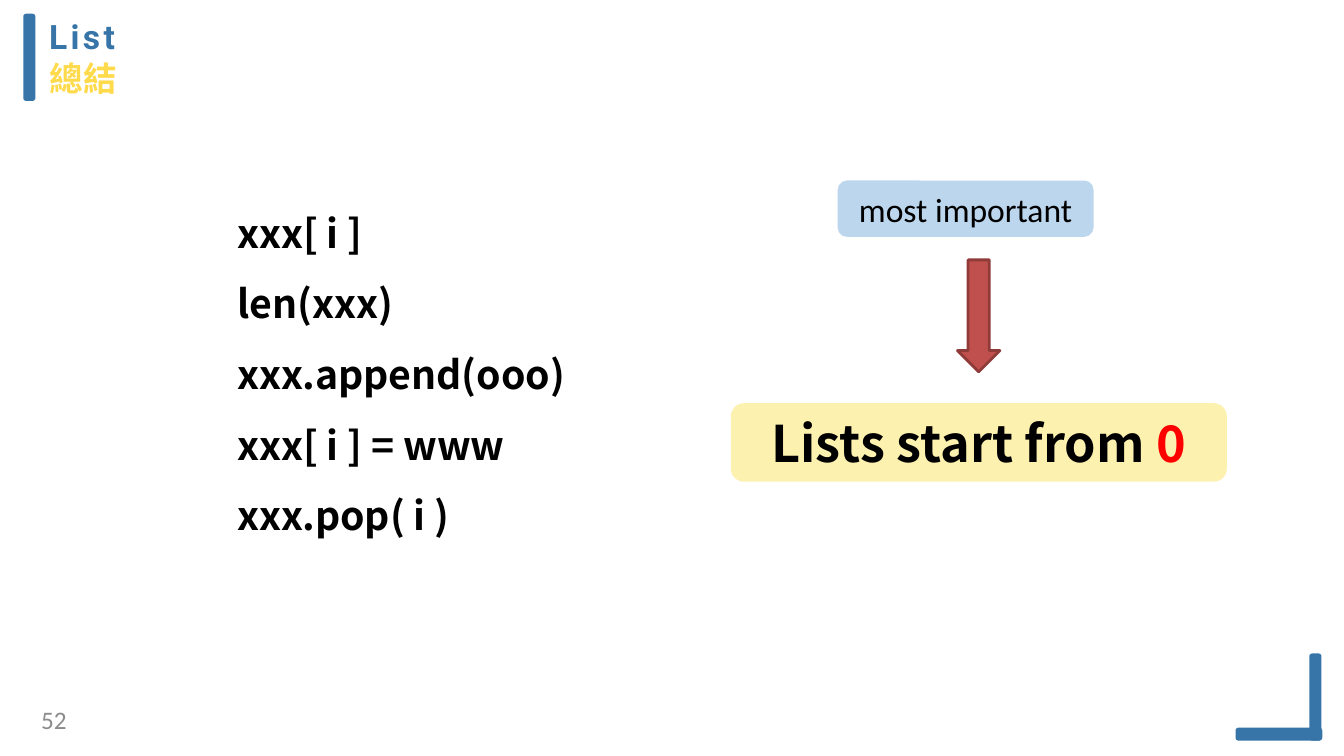
from dataclasses import dataclass

from lxml import etree
from pptx import Presentation
from pptx.dml.color import RGBColor
from pptx.enum.shapes import MSO_SHAPE
from pptx.enum.text import MSO_ANCHOR, MSO_AUTO_SIZE, PP_ALIGN
from pptx.oxml.ns import qn
from pptx.util import Cm, Pt

ROUND, ARROW = MSO_SHAPE.ROUNDED_RECTANGLE, MSO_SHAPE.DOWN_ARROW
LEFT, CENTER, RIGHT = PP_ALIGN.LEFT, PP_ALIGN.CENTER, PP_ALIGN.RIGHT
TOP, MIDDLE = MSO_ANCHOR.TOP, MSO_ANCHOR.MIDDLE
SANS_SC, SANS_TC = "Noto Sans CJK SC", "Noto Sans CJK TC"
BLUE, YELLOW, BLACK = "3774A7", "FFDA4A", "000000"


@dataclass
class Box:
    """Position and size in centimetres."""
    left: float
    top: float
    width: float
    height: float

    def place(self) -> tuple:
        return Cm(self.left), Cm(self.top), Cm(self.width), Cm(self.height)


@dataclass
class Block:
    box: Box
    fill: str
    line: str = ""
    weight: float = 0
    preset: MSO_SHAPE = ROUND
    corner: float | None = None


BARS = [
    Block(box, BLUE, BLUE, 3, corner=0.1)
    for box in (
        Box(0.64, 0.4, 0.2, 2.09),
        Box(33.05, 16.52, 0.2, 2.09),
        Box(31.19, 18.39, 2.08, 0.22),
    )
]
RULE = Block(Box(18.42, 10.16, 12.5, 1.98), "FDF1B0")
LABEL = Block(Box(21.11, 4.55, 6.45, 1.42), "BCD6ED")
POINTER = Block(Box(24.13, 6.55, 1.07, 2.82), "C0504D", "8E3B39", 2, ARROW)
OPERATIONS = ["xxx[ i ]", "len(xxx)", "xxx.append(ooo)", "xxx[ i ] = www", "xxx.pop( i )"]


def color(value: str) -> RGBColor:
    return RGBColor.from_string(value)


def add_block(slide, block: Block):
    sp = slide.shapes.add_shape(block.preset, *block.box.place())
    sp.shadow.inherit = False
    sp.fill.solid()
    sp.fill.fore_color.rgb = color(block.fill)
    if block.line:
        sp.line.color.rgb = color(block.line)
        sp.line.width = Pt(block.weight)
    else:
        sp.line.fill.background()
    if block.corner is not None:
        sp.adjustments[0] = block.corner
    return sp


def setup_frame(sp, anchor=TOP, inset: float | None = None):
    tf = sp.text_frame
    tf.word_wrap = True
    tf.auto_size = MSO_AUTO_SIZE.NONE
    tf.vertical_anchor = anchor
    if inset is not None:
        tf.margin_left = tf.margin_right = tf.margin_top = tf.margin_bottom = Cm(inset)
    return tf


def setup_paragraph(p, align=LEFT, before: float = 0, spacing: float = 1):
    p.alignment = align
    p.space_before = Pt(before)
    p.line_spacing = spacing
    return p


def add_text(p, text: str, *, size: float, font: str, fill: str = BLACK,
             bold: bool = False, tracking: float = 0) -> None:
    r = p.add_run()
    r.text = text
    r.font.size = Pt(size)
    r.font.bold = bold
    r.font.color.rgb = color(fill)
    r.font.name = font
    # East Asian font and letter spacing
    props = r._r.get_or_add_rPr()
    etree.SubElement(props, qn("a:ea"), typeface=font)
    if tracking:
        props.set("spc", str(round(tracking * 100)))


def set_box(sp, box: Box) -> None:
    sp.left, sp.top, sp.width, sp.height = box.place()


def add_title(slide) -> None:
    sp = slide.shapes.title
    set_box(sp, Box(1.24, 0.41, 11.48, 2.13))
    tf = setup_frame(sp, inset=0)
    lines = [("List", "Roboto", BLUE, 2.4), ("總結", SANS_SC, YELLOW, 0.6)]
    for i, (text, font, fill, tracking) in enumerate(lines):
        p = setup_paragraph(tf.add_paragraph() if i else tf.paragraphs[0], before=1)
        add_text(p, text, size=24, font=font, fill=fill, bold=True, tracking=tracking)


def add_operations(slide) -> None:
    sp = slide.placeholders[1]
    set_box(sp, Box(5.72, 4.55, 10.36, 9.25))
    tf = setup_frame(sp)
    for i, text in enumerate(OPERATIONS):
        p = setup_paragraph(tf.add_paragraph() if i else tf.paragraphs[0], spacing=1.5)
        props = p._p.get_or_add_pPr()
        props.set("marL", "0")
        props.set("indent", "0")
        etree.SubElement(props, qn("a:buNone"))
        add_text(p, text, size=28, font=SANS_TC, bold=True)


def main() -> None:
    prs = Presentation()
    prs.slide_width, prs.slide_height = Cm(33.87), Cm(19.05)
    slide = prs.slides.add_slide(prs.slide_layouts[1])

    # Heading and corner bars
    add_title(slide)
    for bar in BARS:
        add_block(slide, bar)

    # Page number
    sp = slide.shapes.add_textbox(*Box(0.2, 17.75, 1.48, 0.76).place())
    p = setup_paragraph(setup_frame(sp, inset=0).paragraphs[0], RIGHT)
    add_text(p, "52", size=18, font="Calibri", fill="8C8C8C")

    # List operations
    add_operations(slide)

    # Key rule with its label and arrow
    tf = setup_frame(add_block(slide, RULE), MIDDLE)
    p = setup_paragraph(tf.paragraphs[0], CENTER)
    add_text(p, "Lists start from ", size=36, font=SANS_SC, bold=True)
    add_text(p, "0", size=36, font=SANS_SC, fill="FF0000", bold=True)

    tf = setup_frame(add_block(slide, LABEL), MIDDLE)
    p = setup_paragraph(tf.paragraphs[0], CENTER)
    add_text(p, "most important", size=24, font="Calibri")
    add_block(slide, POINTER)

    prs.save("out.pptx")


if __name__ == "__main__":
    main()
